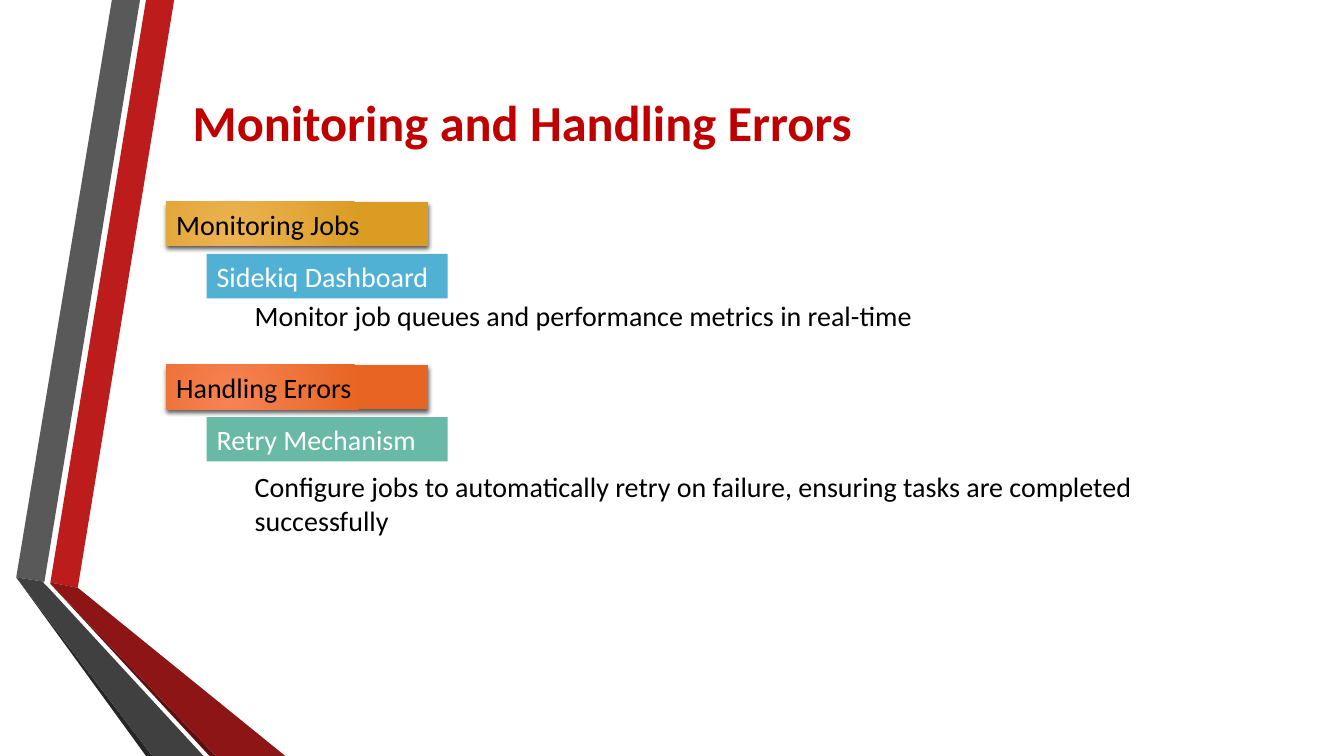
import pptx
import pptx.util
import pptx.dml.color
import pptx.enum.shapes
import pptx.enum.text
import pptx.oxml
import pptx.oxml.ns

Cm, Pt = pptx.util.Cm, pptx.util.Pt
ALIGN, ANCHOR = pptx.enum.text.PP_ALIGN, pptx.enum.text.MSO_ANCHOR
RECTANGLE = pptx.enum.shapes.MSO_SHAPE.RECTANGLE
NAMESPACE = pptx.oxml.ns.nsdecls("a")

COLORS = {
    "red": "BC1C1C", "deep red": "8D1515", "red edge": "5E0E0E",
    "gray": "595959", "deep gray": "404040", "gray edge": "262626",
    "title": "C00000", "black": "000000", "white": "FFFFFF",
    "gold light": "ECB354", "gold": "DB9C24",
    "orange light": "F78354", "orange": "E76422",
    "blue": "50B1D4", "green": "68B9A6",
}


def color(name):
    return pptx.dml.color.RGBColor.from_string(COLORS[name])


def write(box, text, size, ink, align=ALIGN.LEFT, bold=False):
    frame = box.text_frame
    frame.word_wrap = True
    frame.text = text
    para = frame.paragraphs[0]
    para.alignment = align
    para.font.name = "Calibri"
    para.font.size = Pt(size)
    para.font.bold = bold
    para.font.color.rgb = color(ink)
    return frame


deck = pptx.Presentation()
deck.slide_width, deck.slide_height = Cm(33.87), Cm(19.05)
page = deck.slides.add_slide(deck.slide_layouts[5])

# Folded ribbons at the left edge, in hundredths of a centimetre
ribbons = [
    ("red", [(127, 1468), (196, 1481), (439, 0), (368, 0)]),
    ("gray", [(353, 0), (282, 0), (41, 1455), (112, 1466)]),
    ("gray edge", [(41, 1455), (368, 1905), (384, 1905)]),
    ("red edge", [(127, 1471), (528, 1905), (544, 1905)]),
    ("deep red", [(127, 1471), (544, 1905), (719, 1905), (196, 1481), (127, 1468)]),
    ("deep gray", [(513, 1905), (122, 1481), (109, 1468), (112, 1466), (41, 1455), (384, 1905)]),
]
for fill, points in ribbons:
    builder = page.shapes.build_freeform(*points[0], scale=Cm(0.01))
    builder.add_line_segments(points[1:], close=True)
    ribbon = builder.convert_to_shape()
    ribbon.shadow.inherit = False
    ribbon.fill.solid()
    ribbon.fill.fore_color.rgb = color(fill)
    ribbon.line.fill.background()

# Title
title = page.shapes.title
title.left, title.top, title.width, title.height = Cm(4.19), Cm(2.26), Cm(17.96), Cm(1.57)
frame = write(title, "Monitoring and Handling Errors", 36, "title", ALIGN.CENTER, True)
frame.vertical_anchor = ANCHOR.MIDDLE

# Two sections: heading bar, topic bar and explanation
sections = [
    (5.08, "Monitoring Jobs", "gold", "Sidekiq Dashboard", "blue",
     "Monitor job queues and performance metrics in real-time", (7.39, 17.3, 1.12)),
    (9.19, "Handling Errors", "orange", "Retry Mechanism", "green",
     "Configure jobs to automatically retry on failure, ensuring tasks are "
     "completed successfully", (11.71, 24.23, 1.96)),
]
for top, heading, heading_fill, topic, topic_fill, detail, (detail_top, width, height) in sections:
    # Heading with a radial gradient and a soft shadow
    bar = page.shapes.add_shape(RECTANGLE, Cm(4.19), Cm(top), Cm(6.6), Cm(1.12))
    bar.line.fill.background()
    bar.fill.gradient()
    for stop, name in zip(bar.fill.gradient_stops, (heading_fill + " light", heading_fill)):
        stop.color.rgb = color(name)
    linear = bar.element.spPr.find(".//" + pptx.oxml.ns.qn("a:lin"))
    linear.getparent().replace(linear, pptx.oxml.parse_xml(
        f'<a:path {NAMESPACE} path="circle">'
        '<a:fillToRect l="50000" t="100000" r="100000" b="50000"/></a:path>'))
    bar.shadow.inherit = False
    effects = bar.element.spPr.find(pptx.oxml.ns.qn("a:effectLst"))
    effects.append(pptx.oxml.parse_xml(
        f'<a:outerShdw {NAMESPACE} blurRad="{Pt(3)}" dist="{Pt(2)}" dir="5400000" '
        f'rotWithShape="0"><a:srgbClr val="{COLORS["black"]}"><a:alpha val="64000"/>'
        '</a:srgbClr></a:outerShdw>'))
    write(bar, heading, 20, "black")

    # Topic
    label = page.shapes.add_shape(RECTANGLE, Cm(5.21), Cm(top + 1.32), Cm(6.07), Cm(1.12))
    label.shadow.inherit = False
    label.fill.solid()
    label.fill.fore_color.rgb = color(topic_fill)
    label.line.fill.background()
    write(label, topic, 20, "white")

    # Explanation
    box = page.shapes.add_textbox(Cm(6.17), Cm(detail_top), Cm(width), Cm(height))
    write(box, detail, 20, "black")

deck.save("out.pptx")
